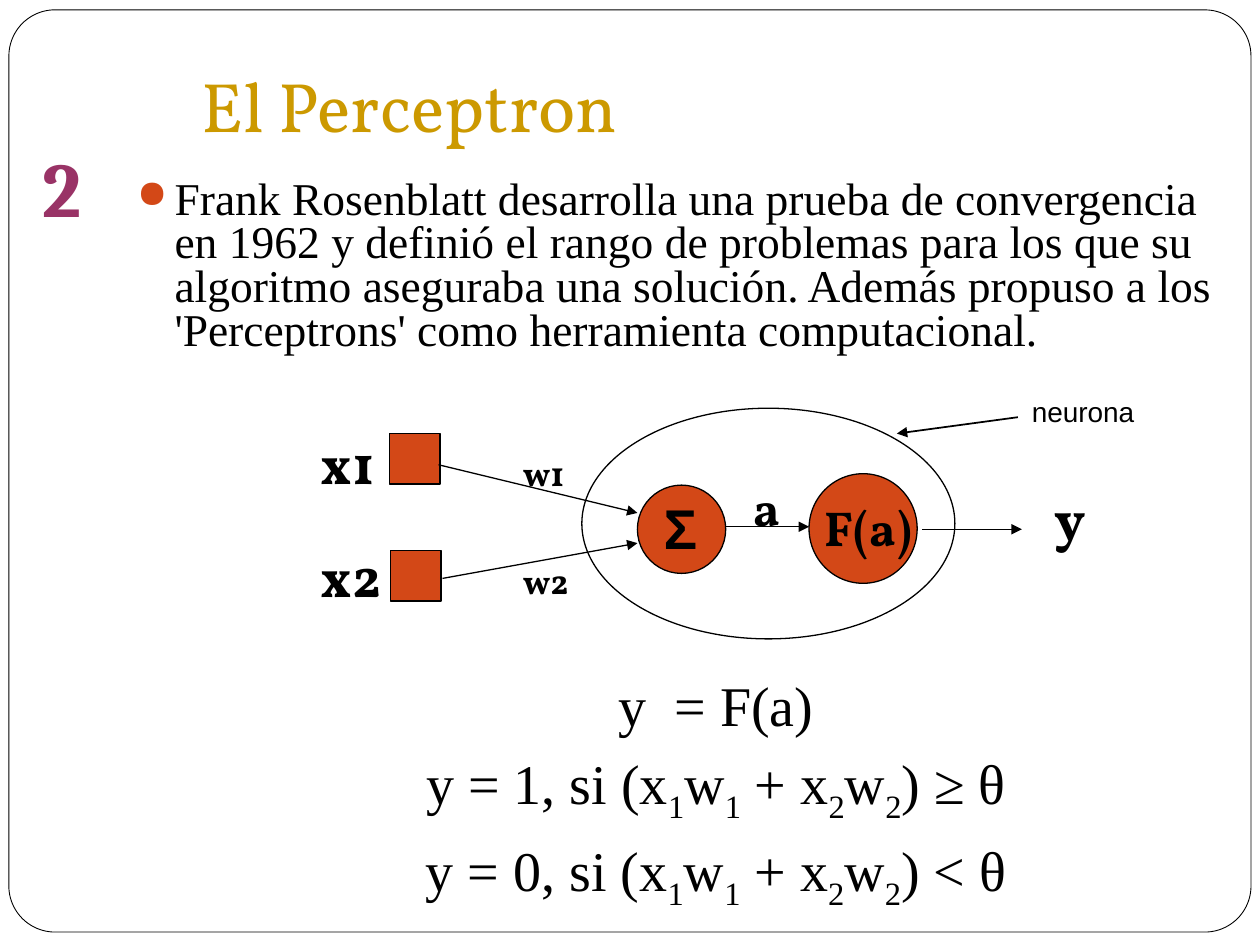
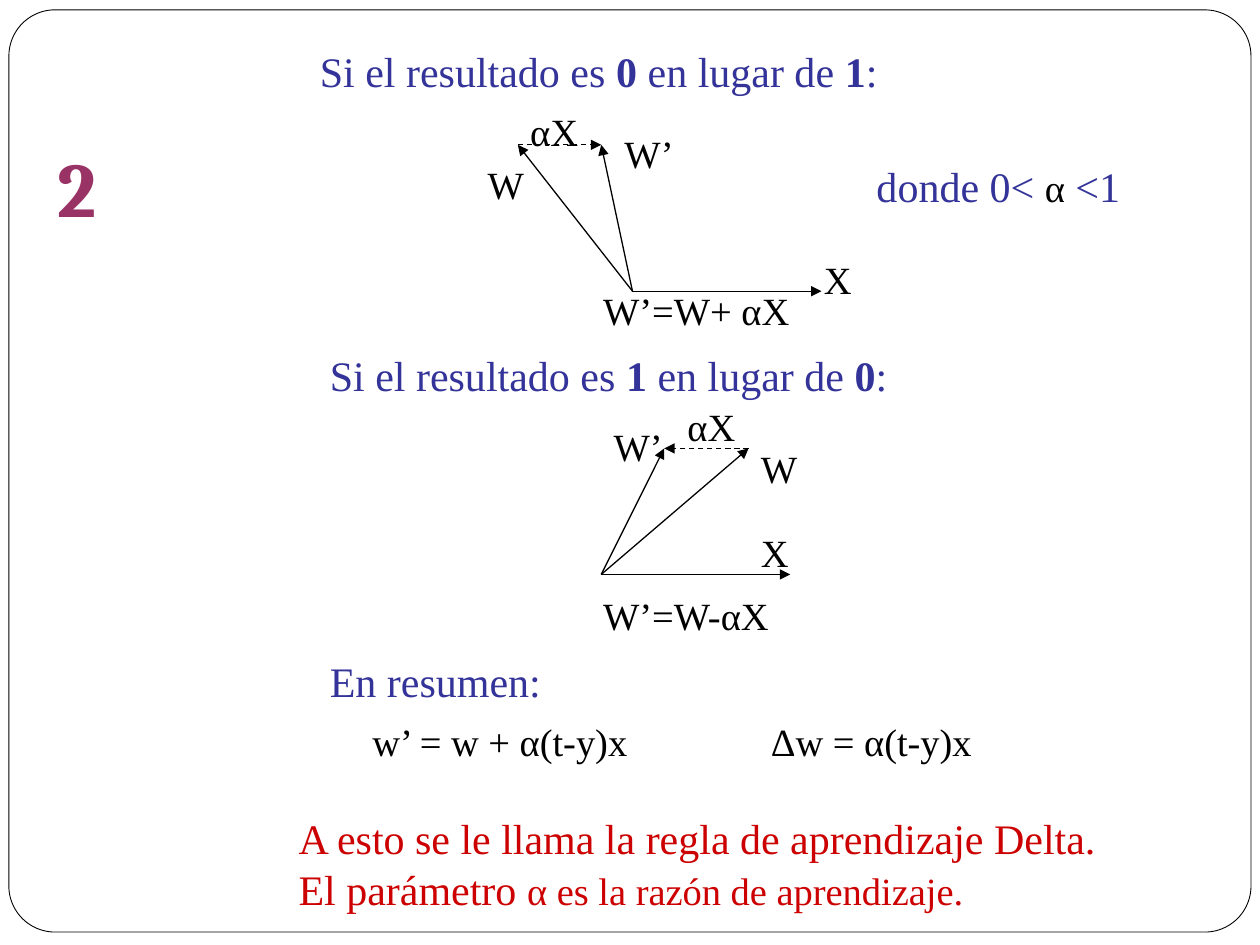
from dataclasses import dataclass
from typing import NamedTuple, Optional

from lxml.etree import SubElement
from pptx import Presentation
from pptx.dml.color import RGBColor
from pptx.enum.dml import MSO_LINE
from pptx.enum.shapes import MSO_CONNECTOR, MSO_SHAPE as Preset
from pptx.enum.text import MSO_ANCHOR, MSO_AUTO_SIZE, PP_ALIGN
from pptx.oxml.ns import qn
from pptx.util import Cm, Pt

# Shared colours and fonts
BLACK, WHITE, ORANGE = "000000", "FFFFFF", "D34817"
GOLD, PLUM, INDIGO, RED = "CC9900", "993366", "333399", "CC0000"
SERIF, SANS, DISPLAY, NUMERAL = "Times New Roman", "Arial", "Vollkorn", "Cambria"


class Point(NamedTuple):
    x: float
    y: float


class Run(NamedTuple):
    text: str
    bold: Optional[bool] = None
    size: Optional[float] = None
    color: Optional[str] = None
    subscript: bool = False


@dataclass(frozen=True)
class Style:
    size: float
    font: str = SERIF
    color: str = BLACK
    bold: bool = False


@dataclass(frozen=True)
class Label:
    x: float
    y: float
    width: float
    height: float
    paragraphs: list
    style: Style
    half_space: bool = True
    wrap: bool = True
    align: Optional[PP_ALIGN] = None
    after: Optional[float] = None


@dataclass(frozen=True)
class Node:
    preset: Preset
    x: float
    y: float
    width: float
    height: float
    fill: Optional[str] = ORANGE
    line_width: float = 0.75


@dataclass(frozen=True)
class Arrow:
    start: Point
    end: Point
    width: float = 0.75
    dashed: bool = False


@dataclass(frozen=True)
class VectorDiagram:
    """Weight vector w moved to w_new along the input vector x."""
    origin: Point
    w: Point
    w_new: Point
    x: Point
    labels: dict  # text -> place of its label


VARIABLE = Style(22)
HEADING = Style(24, color=INDIGO)
SIGNAL = Style(32, DISPLAY, bold=True)
FUNCTION = Style(28, DISPLAY, bold=True)
WEIGHT = Style(20, DISPLAY, bold=True)


def rgb(color: str) -> RGBColor:
    return RGBColor.from_string(color)


def style_paragraph(paragraph, style: Style) -> None:
    font = paragraph.font
    font.name, font.size, font.bold = style.font, Pt(style.size), style.bold
    font.color.rgb = rgb(style.color)


def add_runs(paragraph, runs: list) -> None:
    for part in runs:
        run = paragraph.add_run()
        run.text = part.text
        if part.bold is not None:
            run.font.bold = part.bold
        if part.size:
            run.font.size = Pt(part.size)
        if part.color:
            run.font.color.rgb = rgb(part.color)
        if part.subscript:
            run._r.get_or_add_rPr().set("baseline", "-25000")


def subscripted(formula: str) -> list:
    """Turn each character after an underscore into a subscript."""
    first, *rest = formula.split("_")
    runs = [Run(first)]
    for piece in rest:
        runs += [Run(piece[0], subscript=True), Run(piece[1:])]
    return runs


def add_half_space(paragraph) -> None:
    properties = paragraph._p.get_or_add_pPr()
    spacing = SubElement(properties, qn("a:spcBef"))
    SubElement(spacing, qn("a:spcPct")).set("val", "50000")
    properties.insert(0, spacing)


def add_label(slide, label: Label):
    box = slide.shapes.add_textbox(
        Cm(label.x), Cm(label.y), Cm(label.width), Cm(label.height))
    frame = box.text_frame
    frame.word_wrap = label.wrap
    frame.auto_size = MSO_AUTO_SIZE.SHAPE_TO_FIT_TEXT
    for index, runs in enumerate(label.paragraphs):
        paragraph = frame.add_paragraph() if index else frame.paragraphs[0]
        add_runs(paragraph, runs)
        style_paragraph(paragraph, label.style)
        if label.align is not None:
            paragraph.alignment = label.align
        if label.after is not None:
            paragraph.space_after = Pt(label.after)
        if label.half_space:
            add_half_space(paragraph)
    return box


def add_node(slide, node: Node):
    shape = slide.shapes.add_shape(
        node.preset, Cm(node.x), Cm(node.y), Cm(node.width), Cm(node.height))
    shape.shadow.inherit = False
    if node.fill:
        shape.fill.solid()
        shape.fill.fore_color.rgb = rgb(node.fill)
    else:
        shape.fill.background()
    shape.line.color.rgb = rgb(BLACK)
    shape.line.width = Pt(node.line_width)
    return shape


def add_arrow(slide, arrow: Arrow) -> None:
    connector = slide.shapes.add_connector(
        MSO_CONNECTOR.STRAIGHT, *(Cm(value) for value in arrow.start + arrow.end))
    connector.line.color.rgb = rgb(BLACK)
    connector.line.width = Pt(arrow.width)
    if arrow.dashed:
        connector.line.dash_style = MSO_LINE.DASH
    properties = connector._element.spPr
    SubElement(properties.find(qn("a:ln")), qn("a:tailEnd")).set("type", "triangle")
    SubElement(properties, qn("a:effectLst"))


def add_vectors(slide, diagram: VectorDiagram) -> None:
    for tip in (diagram.w, diagram.w_new, diagram.x):
        add_arrow(slide, Arrow(diagram.origin, tip))
    add_arrow(slide, Arrow(diagram.w, diagram.w_new, dashed=True))
    for text, place in diagram.labels.items():
        width = 4.65 if "=" in text else 1.9
        add_label(slide, Label(*place, width, 1.19, [[Run(text)]], VARIABLE))


def start_slide(prs, layout: int, number_x: float):
    """Slide with the rounded frame at the back and the large chapter number."""
    slide = prs.slides.add_slide(prs.slide_layouts[layout])
    frame = add_node(slide, Node(
        Preset.ROUNDED_RECTANGLE, 0.18, 0.2, 25.04, 18.59, WHITE, 0.5))
    frame.adjustments[0] = 0.05
    slide.shapes._spTree.insert(2, frame._element)
    add_label(slide, Label(number_x, 2.7, 0.89, 1.9, [[Run("2")]],
                           Style(44, NUMERAL, PLUM, True), half_space=False,
                           wrap=False, align=PP_ALIGN.CENTER))
    return slide


def add_bullet(paragraph) -> None:
    properties = paragraph._p.get_or_add_pPr()
    properties.set("marL", str(Cm(0.76)))
    properties.set("indent", str(-Cm(0.76)))
    color = SubElement(properties, qn("a:buClr"))
    SubElement(color, qn("a:srgbClr")).set("val", ORANGE)
    SubElement(properties, qn("a:buSzPct")).set("val", "85000")
    SubElement(properties, qn("a:buChar")).set("char", "●")
    properties.append(properties.find(qn("a:defRPr")))


def build_perceptron(prs) -> None:
    slide = start_slide(prs, 5, 0.61)

    # Title
    title = slide.shapes.title
    title.left, title.top, title.width, title.height = (
        Cm(3.81), Cm(1.09), Cm(21.59), Cm(2.11))
    title.text_frame.text = "El Perceptron"
    title.text_frame.auto_size = MSO_AUTO_SIZE.NONE
    title.text_frame.vertical_anchor = MSO_ANCHOR.BOTTOM
    title.text_frame.margin_bottom = Cm(0.25)
    heading = title.text_frame.paragraphs[0]
    heading.alignment = PP_ALIGN.LEFT
    style_paragraph(heading, Style(40, DISPLAY, GOLD))

    # Introduction
    introduction = add_label(slide, Label(2.51, 3.51, 22.38, 5.41, [[Run(
        "Frank Rosenblatt desarrolla una prueba de convergencia en 1962 y definió "
        "el rango de problemas para los que su algoritmo aseguraba una solución. "
        "Además propuso a los 'Perceptrons' como herramienta computacional.")]],
        Style(26), half_space=False, after=18))
    introduction.text_frame.auto_size = MSO_AUTO_SIZE.NONE
    paragraph = introduction.text_frame.paragraphs[0]
    paragraph.line_spacing = 0.8
    paragraph.space_before = Pt(5.8)
    add_bullet(paragraph)

    # Neuron: inputs, sum, activation and outline
    for node in (
        Node(Preset.RECTANGLE, 7.85, 8.74, 1.02, 1.02),
        Node(Preset.RECTANGLE, 7.87, 11.1, 1.02, 1.02),
        Node(Preset.OVAL, 12.85, 9.78, 1.78, 1.78),
        Node(Preset.OVAL, 16.31, 9.55, 2.18, 2.21),
        Node(Preset.OVAL, 11.73, 8.23, 7.52, 4.65, fill=None),
    ):
        add_node(slide, node)
    for arrow in (
        Arrow(Point(20.52, 8.41), Point(18.08, 8.74), 1),
        Arrow(Point(14.63, 10.62), Point(16.31, 10.62)),
        Arrow(Point(18.59, 10.67), Point(20.6, 10.67)),
        Arrow(Point(8.84, 9.37), Point(12.85, 10.34)),
        Arrow(Point(8.92, 11.66), Point(12.85, 10.95)),
    ):
        add_arrow(slide, arrow)
    for text, x, y, width, height, style in (
        ("Σ", 13.13, 9.83, 1.42, 1.6, Style(32, SANS, bold=True)),
        ("F(a)", 16.38, 9.91, 2.34, 1.45, FUNCTION),
        ("a", 14.94, 9.5, 1.02, 1.45, FUNCTION),
        ("x1", 6.22, 8.51, 1.85, 1.6, SIGNAL),
        ("x2", 6.22, 10.8, 1.93, 1.6, SIGNAL),
        ("y", 21.01, 9.63, 1.22, 1.6, SIGNAL),
        ("w1", 10.29, 8.97, 1.6, 1.09, WEIGHT),
        ("w2", 10.29, 11.15, 1.65, 1.09, WEIGHT),
    ):
        add_label(slide, Label(x, y, width, height, [[Run(text)]], style))
    add_label(slide, Label(20.55, 7.82, 2.57, 0.91, [[Run("neurona")]],
                           Style(16, SANS), half_space=False, wrap=False))

    # Output rule
    rules = ("y  = F(a)", "y = 1, si (x_1w_1 + x_2w_2) ≥ θ",
             "y = 0, si (x_1w_1 + x_2w_2) < θ")
    add_label(slide, Label(7.87, 13.39, 13.13, 4.52, [subscripted(r) for r in rules],
                           Style(32), half_space=False, align=PP_ALIGN.CENTER, after=6))


def build_delta_rule(prs) -> None:
    slide = start_slide(prs, 6, 0.91)

    # Weight corrections
    add_vectors(slide, VectorDiagram(
        origin=Point(12.75, 5.87), w=Point(10.44, 2.92),
        w_new=Point(12.12, 2.92), x=Point(16.56, 5.87),
        labels={"W": Point(9.58, 3.12), "αX": Point(10.44, 2.06),
                "W’": Point(12.34, 2.49), "X": Point(16.36, 5.03),
                "W’=W+ αX": Point(11.91, 5.66)}))
    add_vectors(slide, VectorDiagram(
        origin=Point(12.12, 11.58), w=Point(15.09, 9.04),
        w_new=Point(13.39, 9.04), x=Point(15.93, 11.58),
        labels={"W": Point(15.09, 8.84), "αX": Point(13.61, 8),
                "W’": Point(12.12, 8.41), "X": Point(15.09, 10.54),
                "W’=W-αX": Point(11.91, 11.81)}))

    # Headings of the two cases
    for x, y, result, target in ((6.2, 0.79, "0", "1"), (6.4, 6.93, "1", "0")):
        add_label(slide, Label(x, y, 12.06, 1.27, [[
            Run("Si el resultado es "), Run(result, bold=True),
            Run(" en lugar de "), Run(target, bold=True), Run(":")]], HEADING))
    add_label(slide, Label(17.42, 3.12, 5.72, 1.27, [[
        Run("donde 0< "), Run("α", size=22, color=BLACK), Run(" <1")]], HEADING))

    # Summary
    add_label(slide, Label(6.4, 13.08, 12.06, 1.27, [[Run("En resumen:")]], HEADING))
    for text, x, width in (("w’ = w + α(t-y)x", 7.26, 6.15),
                           ("Δw = α(t-y)x", 15.29, 5.08)):
        add_label(slide, Label(x, 14.35, width, 1.19, [[Run(text)]], VARIABLE))
    add_label(slide, Label(5.77, 16.26, 16.71, 2.29, [[
        Run("A esto se le llama la regla de aprendizaje Delta. El parámetro "),
        Run("α es la razón de aprendizaje.", size=22)]], Style(24, color=RED)))


def main() -> None:
    prs = Presentation()
    prs.slide_width, prs.slide_height = Cm(25.4), Cm(19.05)
    build_perceptron(prs)
    build_delta_rule(prs)
    prs.save("out.pptx")


if __name__ == "__main__":
    main()
